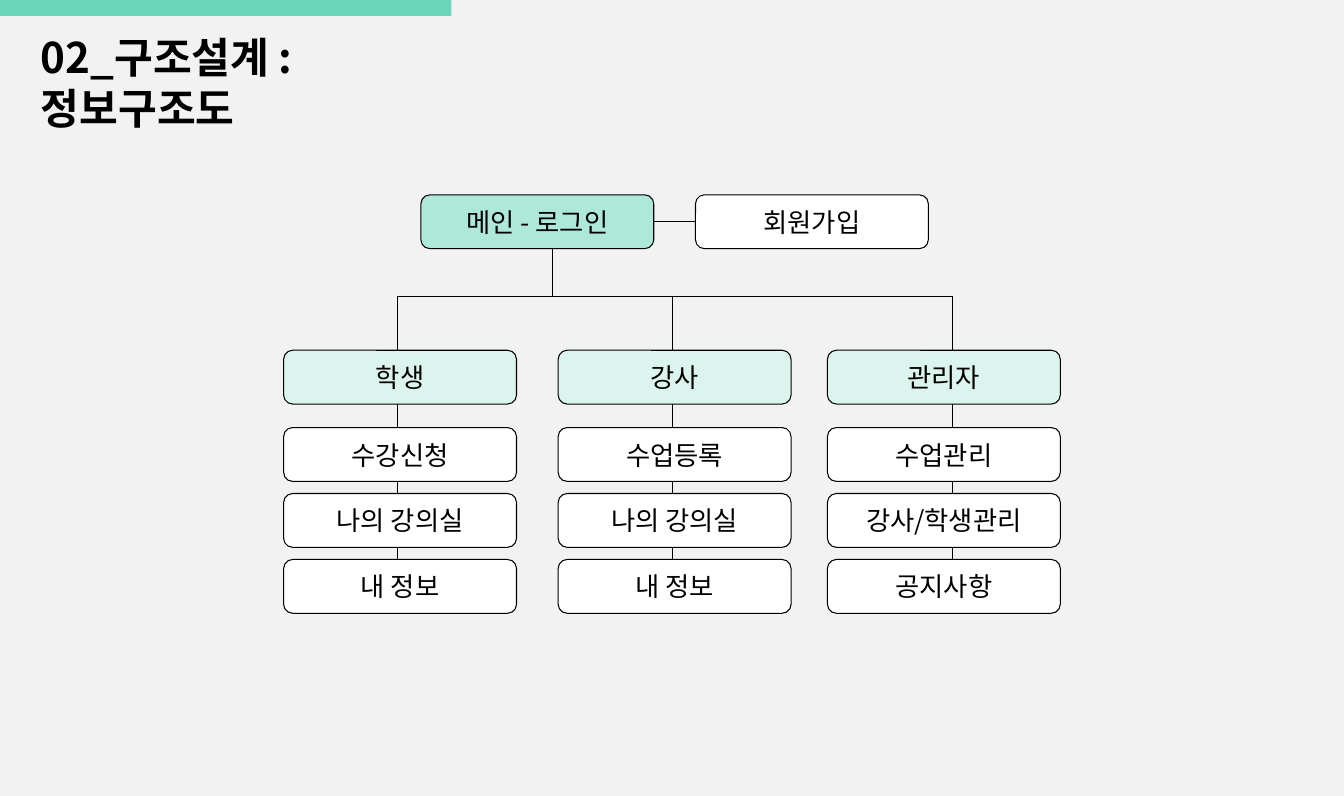
from dataclasses import dataclass

import pptx
import pptx.dml.color
import pptx.enum.shapes
import pptx.enum.text
import pptx.oxml.ns
import pptx.util
from lxml import etree

Inches = pptx.util.Inches
Pt = pptx.util.Pt
Shapes = pptx.enum.shapes.MSO_SHAPE
Anchor = pptx.enum.text.MSO_ANCHOR
Align = pptx.enum.text.PP_ALIGN
qn = pptx.oxml.ns.qn


@dataclass(frozen=True)
class Theme:
    font: str = "Noto Sans CJK KR"
    background: str = "F2F2F2"
    accent: str = "6CD6BA"
    main: str = "AEE8D9"
    role: str = "DBF5EE"
    page: str = "FFFFFF"
    ink: str = "000000"
    title_size: float = 40
    title_leading: float = 48.4
    label_size: float = 25
    border: float = 1
    connector: float = 0.75


THEME = Theme()
BOX_WIDTH, BOX_HEIGHT = 3.07, 0.71
MAIN_LEFT, SIGN_UP_LEFT, MAIN_TOP = 5.55, 9.17, 2.57
MAIN_STEM, BRANCH_TOP, BRANCH_BOTTOM = 7.28, 3.91, 7.5
ROLE_TOP, PAGE_TOP, PAGE_STEP = 4.62, 5.64, 0.87
ROLES = [
    (3.74, 5.24, "학생", ["수강신청", "나의 강의실", "내 정보"]),
    (7.36, 8.86, "강사", ["수업등록", "나의 강의실", "내 정보"]),
    (10.91, 12.56, "관리자", ["수업관리", "강사/학생관리", "공지사항"]),
]


def rgb(color):
    return pptx.dml.color.RGBColor.from_string(color)


def add_run(paragraph, text, size, bold=False):
    run = paragraph.add_run()
    run.text = text
    run.font.name = THEME.font
    run.font.size = Pt(size)
    run.font.bold = bold
    run.font.color.rgb = rgb(THEME.ink)
    east_asian = etree.SubElement(run.font._element, qn("a:ea"))
    east_asian.set("typeface", THEME.font)


def add_title(slide, lines):
    title = slide.shapes.title
    title.left, title.top = Inches(0.44), Inches(0.36)
    title.width, title.height = Inches(6.58), Inches(1.44)
    frame = title.text_frame
    frame.word_wrap = True
    frame.auto_size = pptx.enum.text.MSO_AUTO_SIZE.NONE
    frame.vertical_anchor = Anchor.TOP
    paragraph = frame.paragraphs[0]
    paragraph.alignment = Align.LEFT
    paragraph.line_spacing = Pt(THEME.title_leading)
    for index, line in enumerate(lines):
        if index:
            paragraph.add_line_break()
        add_run(paragraph, line, THEME.title_size, bold=True)


def add_panel(slide, kind, left, top, width, height, fill):
    shape = slide.shapes.add_shape(
        kind, Inches(left), Inches(top), Inches(width), Inches(height)
    )
    shape.shadow.inherit = False
    shape.fill.solid()
    shape.fill.fore_color.rgb = rgb(fill)
    shape.line.fill.background()
    return shape


def add_box(slide, left, top, label, fill):
    box = add_panel(
        slide, Shapes.ROUNDED_RECTANGLE, left, top, BOX_WIDTH, BOX_HEIGHT, fill
    )
    box.line.color.rgb = rgb(THEME.ink)
    box.line.width = Pt(THEME.border)
    box.text_frame.vertical_anchor = Anchor.MIDDLE
    paragraph = box.text_frame.paragraphs[0]
    paragraph.alignment = Align.CENTER
    add_run(paragraph, label, THEME.label_size)


def add_line(slide, start, end):
    line = slide.shapes.add_connector(
        pptx.enum.shapes.MSO_CONNECTOR.STRAIGHT,
        *(Inches(value) for value in (*start, *end)),
    )
    line.line.color.rgb = rgb(THEME.ink)
    line.line.width = Pt(THEME.connector)
    etree.SubElement(line._element.spPr, qn("a:effectLst"))


def add_entry(slide):
    middle = MAIN_TOP + BOX_HEIGHT / 2
    add_line(slide, (MAIN_LEFT + BOX_WIDTH, middle), (SIGN_UP_LEFT, middle))
    add_line(slide, (MAIN_STEM, MAIN_TOP + BOX_HEIGHT), (MAIN_STEM, BRANCH_TOP))
    add_line(slide, (ROLES[0][1], BRANCH_TOP), (ROLES[-1][1], BRANCH_TOP))
    add_box(slide, MAIN_LEFT, MAIN_TOP, "메인 - 로그인", THEME.main)
    add_box(slide, SIGN_UP_LEFT, MAIN_TOP, "회원가입", THEME.page)


def add_role(slide, left, stem, role, pages):
    add_line(slide, (stem, BRANCH_TOP), (stem, BRANCH_BOTTOM))
    add_box(slide, left, ROLE_TOP, role, THEME.role)
    for index, page in enumerate(pages):
        add_box(slide, left, PAGE_TOP + index * PAGE_STEP, page, THEME.page)


def main():
    presentation = pptx.Presentation()
    presentation.slide_width = Inches(17.72)
    presentation.slide_height = Inches(10.5)
    slide = presentation.slides.add_slide(presentation.slide_layouts[5])
    slide.background.fill.solid()
    slide.background.fill.fore_color.rgb = rgb(THEME.background)
    add_panel(slide, Shapes.RECTANGLE, 0, 0, 5.95, 0.21, THEME.accent)
    add_title(slide, ["02_구조설계 :", "정보구조도"])
    add_entry(slide)
    for role in ROLES:
        add_role(slide, *role)
    presentation.save("out.pptx")


if __name__ == "__main__":
    main()
